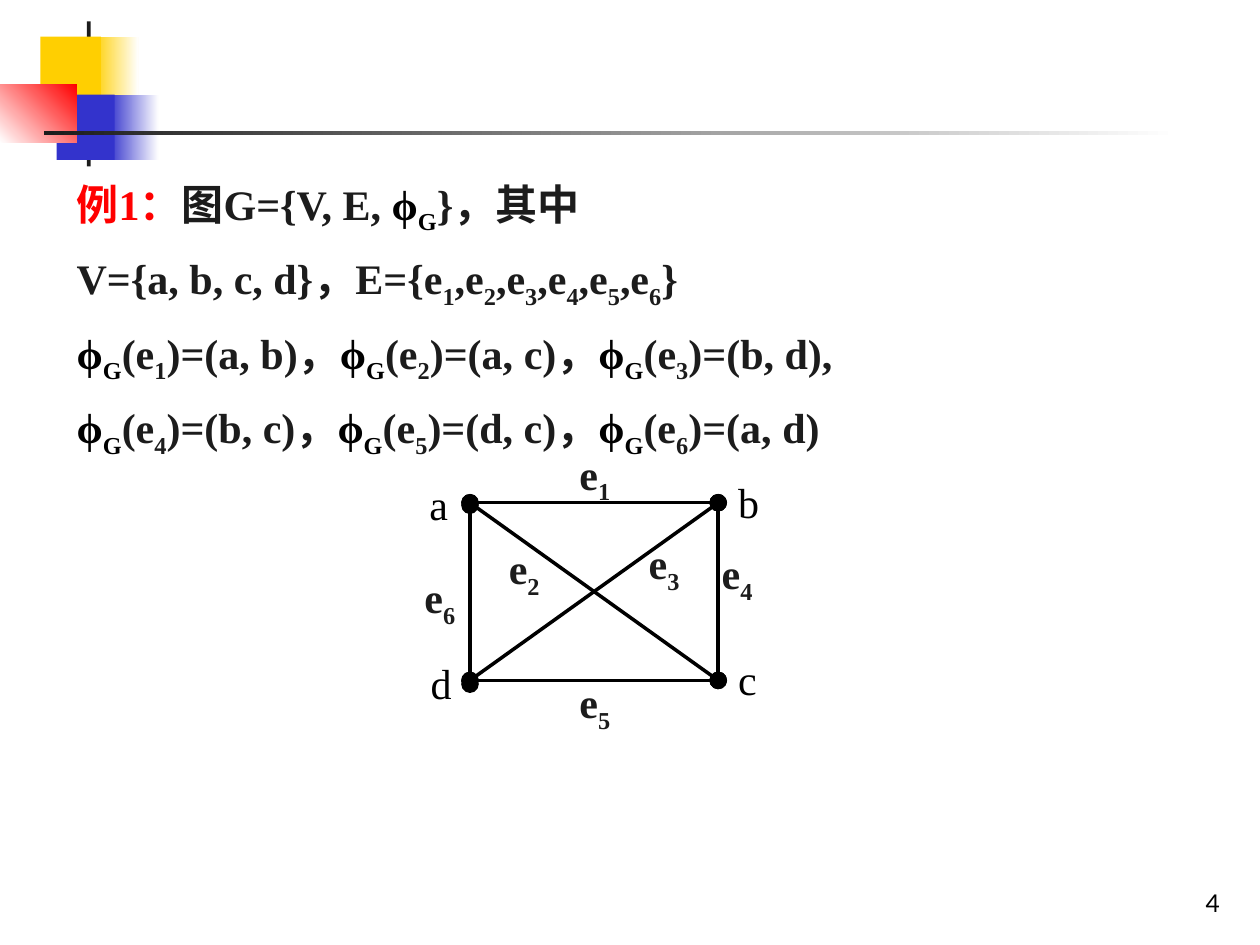
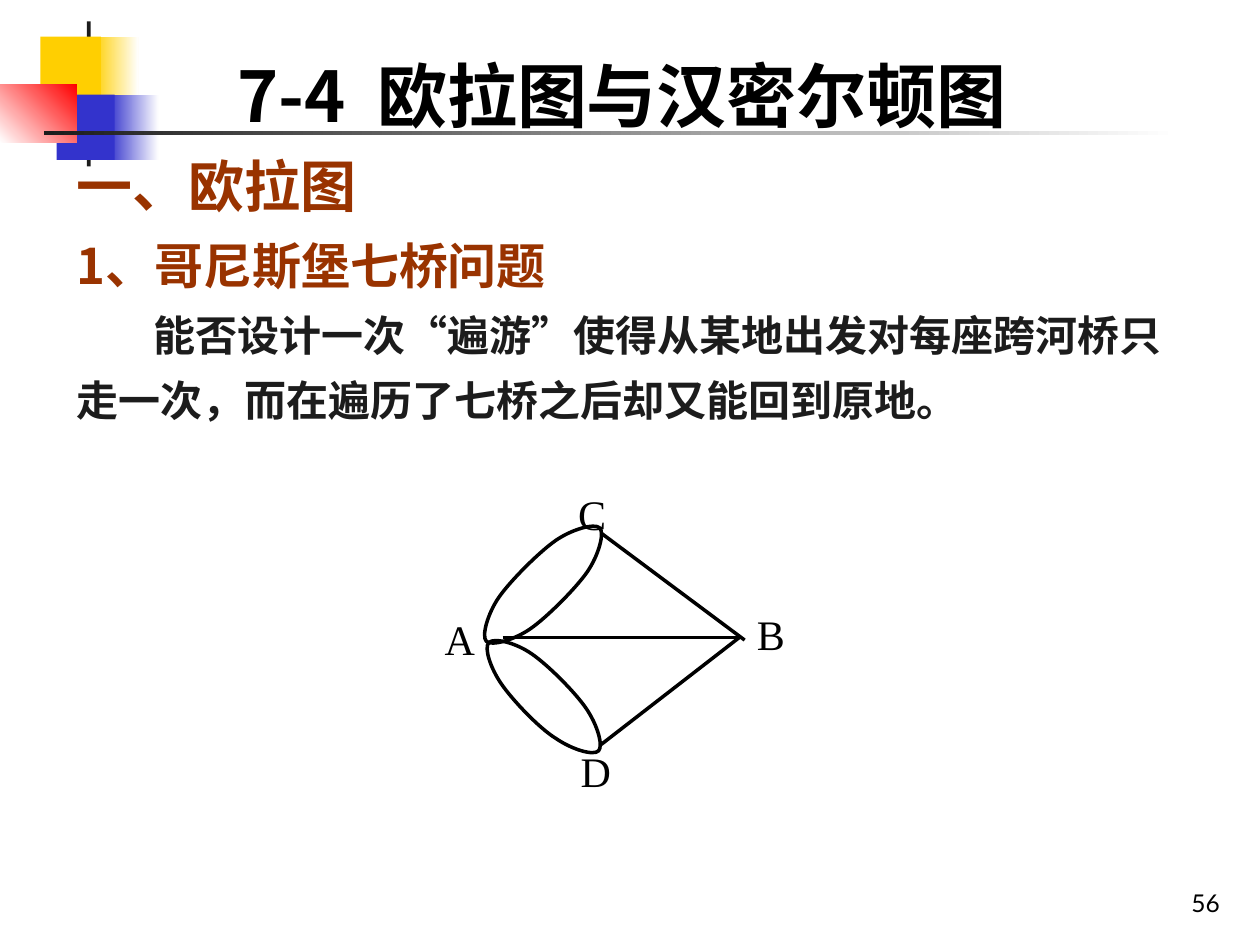
from lxml import etree
from pptx import Presentation
from pptx.dml.color import RGBColor
from pptx.enum.shapes import MSO_CONNECTOR as LINE, MSO_SHAPE as SHAPE
from pptx.enum.text import MSO_ANCHOR as ANCHOR, PP_ALIGN as ALIGN
from pptx.oxml.ns import qn
from pptx.util import Inches, Pt

INK, BLACK, RED, BROWN = "1C1C1C", "000000", "FF0000", "993300"
TIMES, NOTO, LATO = "Times New Roman", "Noto Sans CJK SC", "Lato"

# Shared bands: left, top, width, height, colours, gradient angle
BANDS = [
    (0.74, 0.29, 0.36, 0.52, ["FFCF01", "FFFFFF"], 0),
    (0.86, 0.75, 0.4, 0.52, ["3333CC", "FFFFFF"], 0),
    (0.69, 0.17, 0.03, 1.15, [INK], 0),
    (0.32, 0.29, 0.48, 0.52, ["FFCF01"], 0),
    (0.45, 0.75, 0.46, 0.52, ["3333CC"], 0),
    (0, 0.67, 0.61, 0.46, ["FFFFFF", RED], 45),
    (0.35, 1.04, 9, 0.03, [INK, "FFFFFF"], 0),
]

# "_" lowers the next letter, "|" starts a new run
HUES = {"例1：": RED, "ϕ": BLACK, "G": BLACK}
GRAPH = [
    "例1：|图G={V, E, ϕ_G}，其中",
    "V={a, b, c, d}，E={e_1,e_2,e_3,e_4,e_5,e_6}",
    "ϕ_G(e_1)=(a, b)，ϕ_G(e_2)=(a, c)，ϕ_G(e_3)=(b, d),",
    "ϕ_G(e_4)=(b, c)，ϕ_G(e_5)=(d, c)，ϕ_G(e_6)=(a, d)",
]
NODES = {"a": (3.31, 3.75), "d": (3.32, 5.17), "b": (5.76, 3.73), "c": (5.76, 5.14)}
X1, X2, Y1, Y2 = 3.73, 5.7, 3.99, 5.4
# Edge label: label place, line start, line end
EDGES = {
    "e_6": ((3.27, 4.49), (X1, 4.01), (X1, 5.43)),
    "e_1": ((4.5, 3.51), (X1, Y1), (X2, Y1)),
    "e_2": ((3.94, 4.26), (X1, Y1), (X2, Y2)),
    "e_3": ((5.05, 4.22), (X2, Y1), (X1, Y2)),
    "e_4": ((5.63, 4.3), (X2, Y1), (X2, Y2)),
    "e_5": ((4.5, 5.32), (X1, Y2), (X2, Y2)),
}

TITLE = "7-4  欧拉图与汉密尔顿图"
PART = "一、欧拉图"
TOPIC = "1、哥尼斯堡七桥问题"
ASK = "能否设计一次“遍游”使得从某地出发对每座跨河桥只走一次，而在遍历了七桥之后却又能回到原地。"
LANDS = {"A": (3.43, 4.82), "D": (4.51, 5.87), "C": (4.49, 3.83), "B": (5.91, 4.78)}
BRIDGES = [((3.99, 5.06), (5.87, 5.06)), ((4.77, 4.23), (5.91, 5.08)),
           ((4.77, 5.91), (5.88, 5.05))]
# Each loop is a chain of Bezier curves: start, then two handles and an end
LOOPS = [
    [(4.75, 5.96), (4.79, 5.92), (4.74, 5.75), (4.65, 5.62), (4.56, 5.49),
     (4.35, 5.28), (4.22, 5.19), (4.09, 5.1), (3.92, 5.06), (3.88, 5.1),
     (3.84, 5.14), (3.89, 5.3), (3.98, 5.43), (4.07, 5.56), (4.28, 5.78),
     (4.41, 5.86), (4.54, 5.95), (4.71, 6), (4.75, 5.96)],
    [(4.76, 4.19), (4.72, 4.15), (4.54, 4.2), (4.41, 4.29), (4.28, 4.38),
     (4.05, 4.61), (3.96, 4.74), (3.87, 4.87), (3.82, 5.05), (3.86, 5.09),
     (3.9, 5.13), (4.08, 5.08), (4.21, 4.99), (4.34, 4.9), (4.57, 4.67),
     (4.66, 4.54), (4.75, 4.41), (4.8, 4.23), (4.76, 4.19)],
]


def rgb(code):
    return RGBColor.from_string(code)


def split(text):
    """Yield (words, lowered) for each run."""
    for piece in text.replace("ϕ", "|ϕ|").split("|"):
        for i, part in enumerate(piece.split("_")):
            if i:
                yield part[0], True
                part = part[1:]
            if part:
                yield part, False


def write(para, text, size=24, face=TIMES, hue=BLACK, bold=False, align=None, space=None):
    for words, low in split(text):
        run = para.add_run()
        run.text = words
        if words in HUES:
            run.font.color.rgb = rgb(HUES[words])
        if low:
            run._r.get_or_add_rPr().set("baseline", "-25000")
    font = para.font
    font.size, font.bold, font.name = Pt(size), bold, face
    font.color.rgb = rgb(hue)
    base = para._p.pPr.find(qn("a:defRPr"))
    etree.SubElement(base, qn("a:ea")).set("typeface", NOTO)
    para.alignment, para.line_spacing = align, space


def box(slide, x, y, w, h, anchor=ANCHOR.TOP):
    frame = slide.shapes.add_textbox(*map(Inches, (x, y, w, h))).text_frame
    frame.word_wrap, frame.vertical_anchor = True, anchor
    return frame


def label(slide, text, place, width, **look):
    write(box(slide, *place, width, 0.5).paragraphs[0], text, **look)


def line(slide, start, end, dots=False):
    wire = slide.shapes.add_connector(LINE.STRAIGHT, *map(Inches, (*start, *end)))
    wire.line.color.rgb, wire.line.width = rgb(BLACK), Pt(2)
    if dots:
        for name in ("a:headEnd", "a:tailEnd"):
            tip = etree.SubElement(wire.line._ln, qn(name))
            for key, value in (("type", "oval"), ("w", "lg"), ("len", "lg")):
                tip.set(key, value)
    etree.SubElement(wire._element.spPr, qn("a:effectLst"))


def loop(slide, points):
    """Draw a closed chain of Bezier curves."""
    spots = [(Inches(x), Inches(y)) for x, y in points]
    pen = slide.shapes.build_freeform(*spots[0])
    pen.add_line_segments(spots[1:], close=False)
    ring = pen.convert_to_shape()
    track = next(ring._element.iter(qn("a:path")))
    legs = track.findall(qn("a:lnTo"))
    for i in range(0, len(legs), 3):
        bend = etree.SubElement(track, qn("a:cubicBezTo"))
        for leg in legs[i:i + 3]:
            bend.append(leg[0])
            track.remove(leg)
    etree.SubElement(track, qn("a:close"))
    ring.shadow.inherit = False
    ring.fill.background()
    ring.line.color.rgb, ring.line.width = rgb(BLACK), Pt(2)


def start(deck, number):
    """Add a slide with the shared bands and its page number."""
    slide = deck.slides.add_slide(deck.slide_layouts[6])
    for *place, hues, angle in BANDS:
        band = slide.shapes.add_shape(SHAPE.RECTANGLE, *map(Inches, place))
        band.shadow.inherit = False
        band.line.fill.background()
        if len(hues) == 1:
            band.fill.solid()
            band.fill.fore_color.rgb = rgb(hues[0])
        else:
            band.fill.gradient()
            band.fill.gradient_angle = angle
            for stop, hue in zip(band.fill.gradient_stops, hues):
                stop.color.rgb = rgb(hue)
    foot = box(slide, 7.7, 6.83, 2.08, 0.5, ANCHOR.BOTTOM)
    write(foot.paragraphs[0], number, 14, LATO, align=ALIGN.RIGHT)
    return slide


def graph(deck):
    slide = start(deck, "4")
    body = box(slide, 0.51, 1.23, 9.05, 2.18)
    for i, text in enumerate(GRAPH):
        para = body.add_paragraph() if i else body.paragraphs[0]
        write(para, text, hue=INK, bold=True, align=ALIGN.JUSTIFY, space=1.3)
    for name, place in NODES.items():
        label(slide, name, place, 0.35)
    for name, (place, head, tail) in EDGES.items():
        line(slide, head, tail, dots=True)
        label(slide, name, place, 0.46, hue=INK, bold=True)


def euler(deck):
    slide = start(deck, "56")
    part = box(slide, 0.51, 0.99, 9.05, 0.79)
    write(part.paragraphs[0], PART, 32, hue=BROWN, bold=True, space=1.3)
    body = box(slide, 0.51, 1.68, 9.05, 1.75)
    write(body.paragraphs[0], TOPIC, 28, NOTO, BROWN, True, space=1.3)
    ask = body.add_paragraph()
    write(ask, ASK, hue=INK, bold=True, space=1.3)
    ask._p.pPr.set("indent", str(Inches(0.61)))
    for points in LOOPS:
        loop(slide, points)
    for ends in BRIDGES:
        line(slide, *ends)
    for name, place in LANDS.items():
        label(slide, name, place, 0.33)
    head = box(slide, 0.98, 0.36, 7.91, 0.77, ANCHOR.BOTTOM)
    write(head.paragraphs[0], TITLE, 40, NOTO, bold=True, align=ALIGN.CENTER)


def main():
    deck = Presentation()
    deck.slide_width, deck.slide_height = Inches(10), Inches(7.5)
    graph(deck)
    euler(deck)
    deck.save("out.pptx")


if __name__ == "__main__":
    main()
